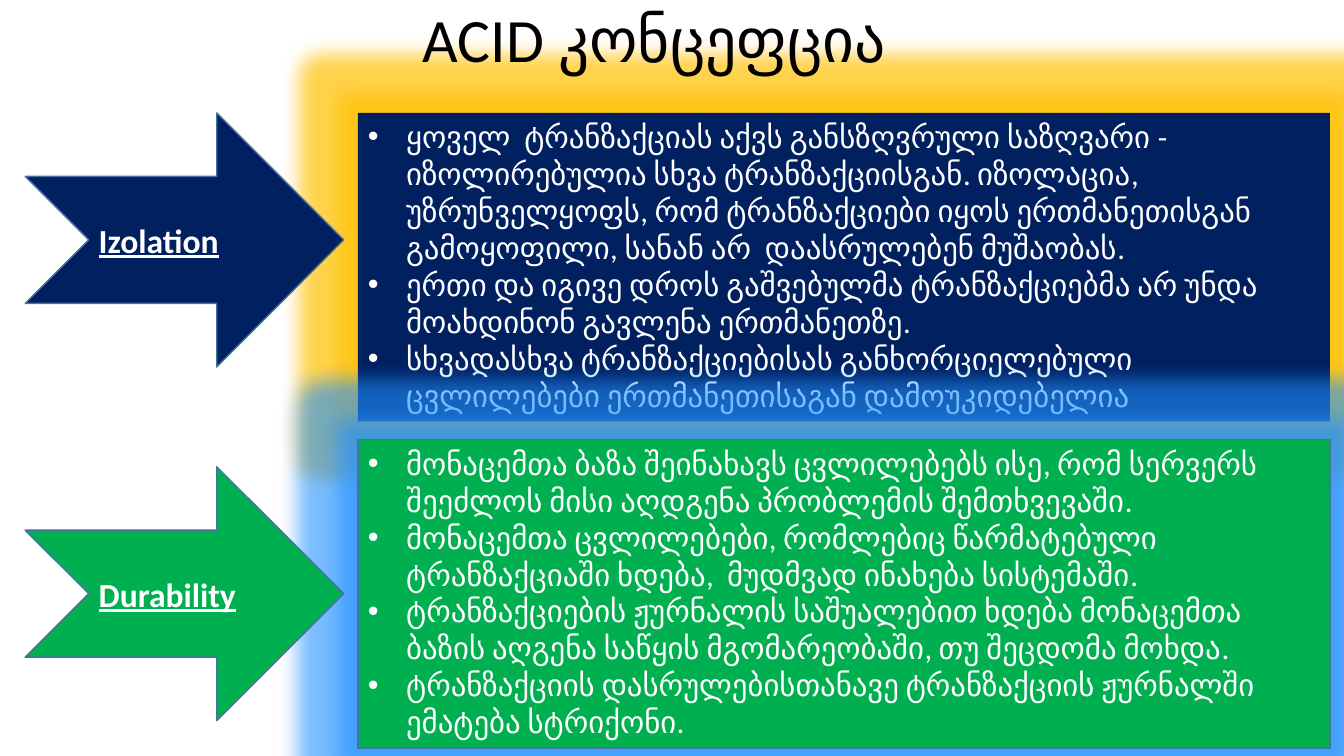
"""Build the ACID slide on isolation and durability."""
from lxml.etree import SubElement
from pptx import Presentation
from pptx.dml.color import RGBColor
from pptx.enum.shapes import MSO_SHAPE
from pptx.enum.text import MSO_ANCHOR, MSO_AUTO_SIZE, PP_ALIGN
from pptx.oxml.ns import qn
from pptx.util import Inches, Pt

BOX_LEFT, BOX_WIDTH, BOX_HEIGHT = 3.55, 9.64, 3.06
ARROW_LEFT, ARROW_WIDTH, ARROW_HEIGHT = 0.25, 3.16, 2.52
BULLET_INDENT = Inches(0.38)
GLOW_RADIUS = Pt(28)
OUTLINE = "43739E"

PROPERTIES = [
    {
        "name": "Izolation", "fill": "002060", "outlined": False,
        "glow": "FFC000", "opacity": 70, "box_top": 1.12, "arrow_top": 1.12,
        "points": [
            "ყოველ  ტრანზაქციას აქვს განსზღვრული საზღვარი - იზოლირებულია სხვა ტრანზაქციისგან. იზოლაცია, უზრუნველყოფს, რომ ტრანზაქციები იყოს ერთმანეთისგან გამოყოფილი, სანან არ  დაასრულებენ მუშაობას.",
            "ერთი და იგივე დროს გაშვებულმა ტრანზაქციებმა არ უნდა მოახდინონ გავლენა ერთმანეთზე.",
            "სხვადასხვა ტრანზაქციებისას განხორციელებული ცვლილებები ერთმანეთისაგან დამოუკიდებელია",
        ],
    },
    {
        "name": "Durability", "fill": "00B050", "outlined": True,
        "glow": "2090FF", "opacity": 60, "box_top": 4.36, "arrow_top": 4.63,
        "points": [
            "მონაცემთა ბაზა შეინახავს ცვლილებებს ისე, რომ სერვერს შეეძლოს მისი აღდგენა პრობლემის შემთხვევაში.",
            "მონაცემთა ცვლილებები, რომლებიც წარმატებული ტრანზაქციაში ხდება,  მუდმვად ინახება სისტემაში.",
            "ტრანზაქციების ჟურნალის საშუალებით ხდება მონაცემთა ბაზის აღგენა საწყის მგომარეობაში, თუ შეცდომა მოხდა.",
            "ტრანზაქციის დასრულებისთანავე ტრანზაქციის ჟურნალში ემატება სტრიქონი.",
        ],
    },
]


def set_font(font, size, color):
    font.name = "Calibri"
    font.size = Pt(size)
    font.color.rgb = RGBColor.from_string(color)


def add_filled_shape(kind, left, top, width, height, fill, outlined):
    shape = slide.shapes.add_shape(
        kind, Inches(left), Inches(top), Inches(width), Inches(height))
    shape.shadow.inherit = False
    shape.fill.solid()
    shape.fill.fore_color.rgb = RGBColor.from_string(fill)
    if outlined:
        shape.line.color.rgb = RGBColor.from_string(OUTLINE)
        shape.line.width = Pt(1)
    else:
        shape.line.fill.background()
    shape.text_frame.word_wrap = True
    return shape


presentation = Presentation()
presentation.slide_width = Inches(13.33)
presentation.slide_height = Inches(7.5)
slide = presentation.slides.add_slide(presentation.slide_layouts[5])

for item in PROPERTIES:
    box = add_filled_shape(MSO_SHAPE.RECTANGLE, BOX_LEFT, item["box_top"],
                           BOX_WIDTH, BOX_HEIGHT, item["fill"], item["outlined"])
    effects = box._element.spPr.find(qn("a:effectLst"))
    glow = SubElement(effects, qn("a:glow"), rad=str(GLOW_RADIUS))
    glow_color = SubElement(glow, qn("a:srgbClr"), val=item["glow"])
    SubElement(glow_color, qn("a:alpha"), val=str(item["opacity"] * 1000))

    frame = box.text_frame
    frame.vertical_anchor = MSO_ANCHOR.TOP
    frame.auto_size = MSO_AUTO_SIZE.SHAPE_TO_FIT_TEXT
    frame.text = "\n".join(item["points"])
    for paragraph in frame.paragraphs:
        paragraph.alignment = PP_ALIGN.LEFT
        properties = paragraph._p.get_or_add_pPr()
        properties.set("marL", str(BULLET_INDENT))
        properties.set("indent", str(-BULLET_INDENT))
        SubElement(properties, qn("a:buFont"), typeface="Arial")
        SubElement(properties, qn("a:buChar"), char="•")
        set_font(paragraph.runs[0].font, 22, "FFFFFF")

for item in PROPERTIES:
    arrow = add_filled_shape(MSO_SHAPE.NOTCHED_RIGHT_ARROW, ARROW_LEFT,
                             item["arrow_top"], ARROW_WIDTH, ARROW_HEIGHT,
                             item["fill"], True)
    arrow.text_frame.vertical_anchor = MSO_ANCHOR.MIDDLE
    arrow.text_frame.text = item["name"]
    label = arrow.text_frame.paragraphs[0]
    label.alignment = PP_ALIGN.LEFT
    font = label.runs[0].font
    set_font(font, 24, "FFFFFF")
    font.bold = True
    font.underline = True

title = slide.shapes.title
title.left, title.top = Inches(0.74), Inches(-0.01)
title.width, title.height = Inches(11.5), Inches(0.87)
title.text_frame.text = "ACID კონცეფცია"
title.text_frame.vertical_anchor = MSO_ANCHOR.MIDDLE
heading = title.text_frame.paragraphs[0]
heading.alignment = PP_ALIGN.CENTER
heading.line_spacing = 0.9
set_font(heading.runs[0].font, 44, "000000")
slide.shapes._spTree.append(title._element)

presentation.save("out.pptx")
